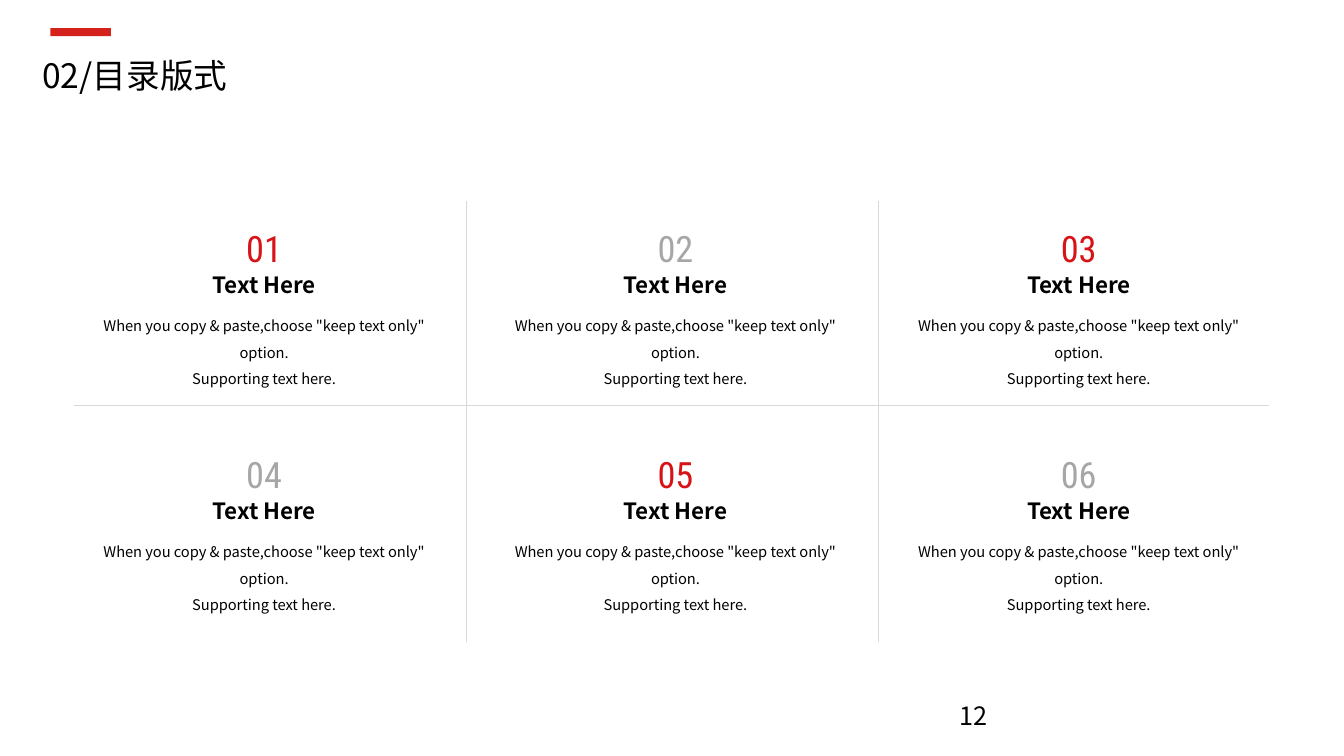
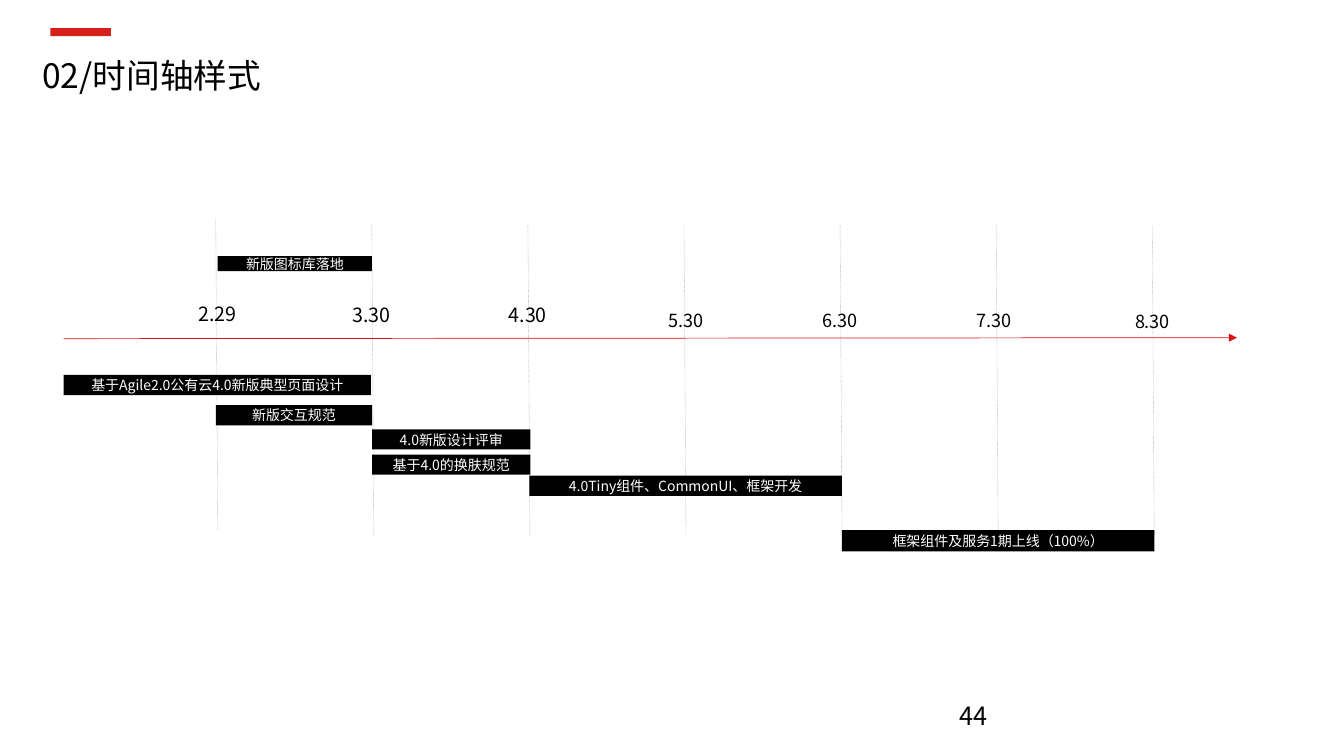
"""Build a six-part contents slide and a release timeline slide."""
from pptx import Presentation
from pptx.dml.color import RGBColor
from pptx.enum.dml import MSO_LINE
from pptx.enum.shapes import MSO_CONNECTOR as Link, MSO_SHAPE as Kind
from pptx.enum.text import MSO_ANCHOR as Anchor, MSO_AUTO_SIZE as Auto, PP_ALIGN as Align
from pptx.oxml.ns import qn
from pptx.util import Inches, Pt
from lxml.etree import SubElement

RED = RGBColor(0xD7, 0x13, 0x18)
MARK = RGBColor(0xD4, 0x21, 0x1C)
BLACK = RGBColor(0, 0, 0)
WHITE = RGBColor(0xFF, 0xFF, 0xFF)
GREY = RGBColor(0xA6, 0xA6, 0xA6)
RULE = RGBColor(0xD9, 0xD9, 0xD9)
DOT = RGBColor(0xBF, 0xBF, 0xBF)
SANS = "Noto Sans CJK SC"
SLIM = "Roboto Condensed"


def text(shape, words, size, color=BLACK, font=SANS, bold=False, align=Align.CENTER,
         anchor=Anchor.TOP, pad=(0.1, 0.05, 0.1, 0.05), wrap=True, space=1.0):
    frame = shape.text_frame
    frame.text = words
    frame.auto_size = Auto.NONE
    frame.word_wrap = wrap
    frame.vertical_anchor = anchor
    frame.margin_left, frame.margin_top, frame.margin_right, frame.margin_bottom = map(Inches, pad)
    for para in frame.paragraphs:
        para.alignment = align
        para.line_spacing = space
        for run in para.runs:
            run.font.size = Pt(size)
            run.font.bold = bold
            run.font.name = font
            run.font.color.rgb = color
            SubElement(run.font._element, qn("a:ea"), typeface=font)


def line(slide, x1, y1, x2, y2, color, width, dash=None, arrow=False):
    link = slide.shapes.add_connector(Link.STRAIGHT, *map(Inches, (x1, y1, x2, y2)))
    link.line.color.rgb = color
    link.line.width = Pt(width)
    if dash:
        link.line.dash_style = dash
    if arrow:
        SubElement(link.line._get_or_add_ln(), qn("a:tailEnd"), type="triangle")
    SubElement(link._element.spPr, qn("a:effectLst"))


deck = Presentation()
deck.slide_width, deck.slide_height = Inches(13.33), Inches(7.5)

for name, page in (("02/目录版式", "12"), ("02/时间轴样式", "44")):
    slide = deck.slides.add_slide(deck.slide_layouts[5])
    title = slide.shapes.title
    title.left, title.top = Inches(0.32), Inches(0.46)
    title.width, title.height = Inches(12.68), Inches(0.67)
    text(title, name, 24, align=Align.LEFT, pad=(0.1, 0, 0.1, 0), space=1.2)
    foot = slide.shapes.add_textbox(Inches(9.42), Inches(6.95), Inches(3), Inches(0.4))
    text(foot, page, 18, align=Align.LEFT, pad=(0.1, 0, 0.1, 0))
    mark = slide.shapes.add_shape(Kind.RECTANGLE, Inches(0.5), Inches(0.28), Inches(0.6), Inches(0.08))
    mark.shadow.inherit = False
    mark.fill.solid()
    mark.fill.fore_color.rgb = MARK
    mark.line.fill.background()

grid, plan = deck.slides

BODY = 'When you copy & paste,choose "keep text only" option.\nSupporting text here.'
for i in range(6):
    x = (0.73, 4.81, 8.81)[i % 3]
    y = 2.11 + i // 3 * 2.24
    disc = grid.shapes.add_shape(Kind.OVAL, Inches(x + 1.54), Inches(y), Inches(0.7), Inches(0.7))
    disc.shadow.inherit = False
    disc.fill.solid()
    disc.fill.fore_color.rgb = WHITE
    disc.line.color.rgb = WHITE
    disc.line.width = Pt(4.5)
    text(disc, f"{i + 1:02}", 25.9, color=GREY if i % 2 else RED, font=SLIM,
         anchor=Anchor.MIDDLE, wrap=False)
    head = grid.shapes.add_textbox(Inches(x), Inches(y + 0.48), Inches(3.78), Inches(0.42))
    text(head, "Text Here", 16, bold=True, anchor=Anchor.BOTTOM, wrap=False)
    body = grid.shapes.add_textbox(Inches(x), Inches(y + 0.9), Inches(3.78), Inches(0.67))
    text(body, BODY, 10.5, space=1.5)

line(grid, 0.73, 4.02, 12.59, 4.02, RULE, 0.5)
for x in (4.63, 8.71):
    line(grid, x, 1.99, x, 6.37, RULE, 0.5)

for i, y in enumerate((2.17, 2.22, 2.23, 2.23, 2.23, 2.22, 2.24)):
    x = 2.14 + i * 1.548
    line(plan, x, y, x + 0.02, y + 3.09, DOT, 0.25, dash=MSO_LINE.ROUND_DOT)

DATES = (
    ("2.29", 1.5, 2.93, 1.31, 14),
    ("3.30", 3.03, 2.94, 1.31, 14),
    ("4.30", 4.58, 2.94, 1.31, 14),
    ("5.30", 5.96, 3, 1.68, 12.9),
    ("6.30", 7.49, 3, 1.68, 12.9),
    ("7.30", 9.02, 3, 1.68, 12.9),
    ("8.30", 10.59, 3.01, 1.68, 12.9),
)
for day, x, y, width, size in DATES:
    label = plan.shapes.add_textbox(Inches(x), Inches(y), Inches(width), Inches(0.33))
    text(label, day, size, pad=(0.13, 0.07, 0.13, 0.07))

TASKS = (
    ("新版图标库落地", 2.16, 2.54, 1.53, 0.15),
    ("基于Agile2.0公有云4.0新版典型页面设计", 0.63, 3.72, 3.05, 0.2),
    ("新版交互规范", 2.14, 4.02, 1.55, 0.2),
    ("4.0新版设计评审", 3.69, 4.26, 1.57, 0.2),
    ("基于4.0的换肤规范", 3.69, 4.51, 1.57, 0.2),
    ("4.0Tiny组件、CommonUI、框架开发", 5.25, 4.72, 3.1, 0.2),
    ("框架组件及服务1期上线（100%）", 8.35, 5.26, 3.1, 0.21),
)
for task, *box in TASKS:
    bar = plan.shapes.add_shape(Kind.RECTANGLE, *map(Inches, box))
    bar.shadow.inherit = False
    bar.fill.solid()
    bar.fill.fore_color.rgb = BLACK
    bar.line.fill.background()
    text(bar, task, 10, color=WHITE, anchor=Anchor.MIDDLE, pad=(0, 0, 0, 0))

line(plan, 0.63, 3.36, 12.27, 3.35, RED, 0.5, arrow=True)

deck.save("out.pptx")
